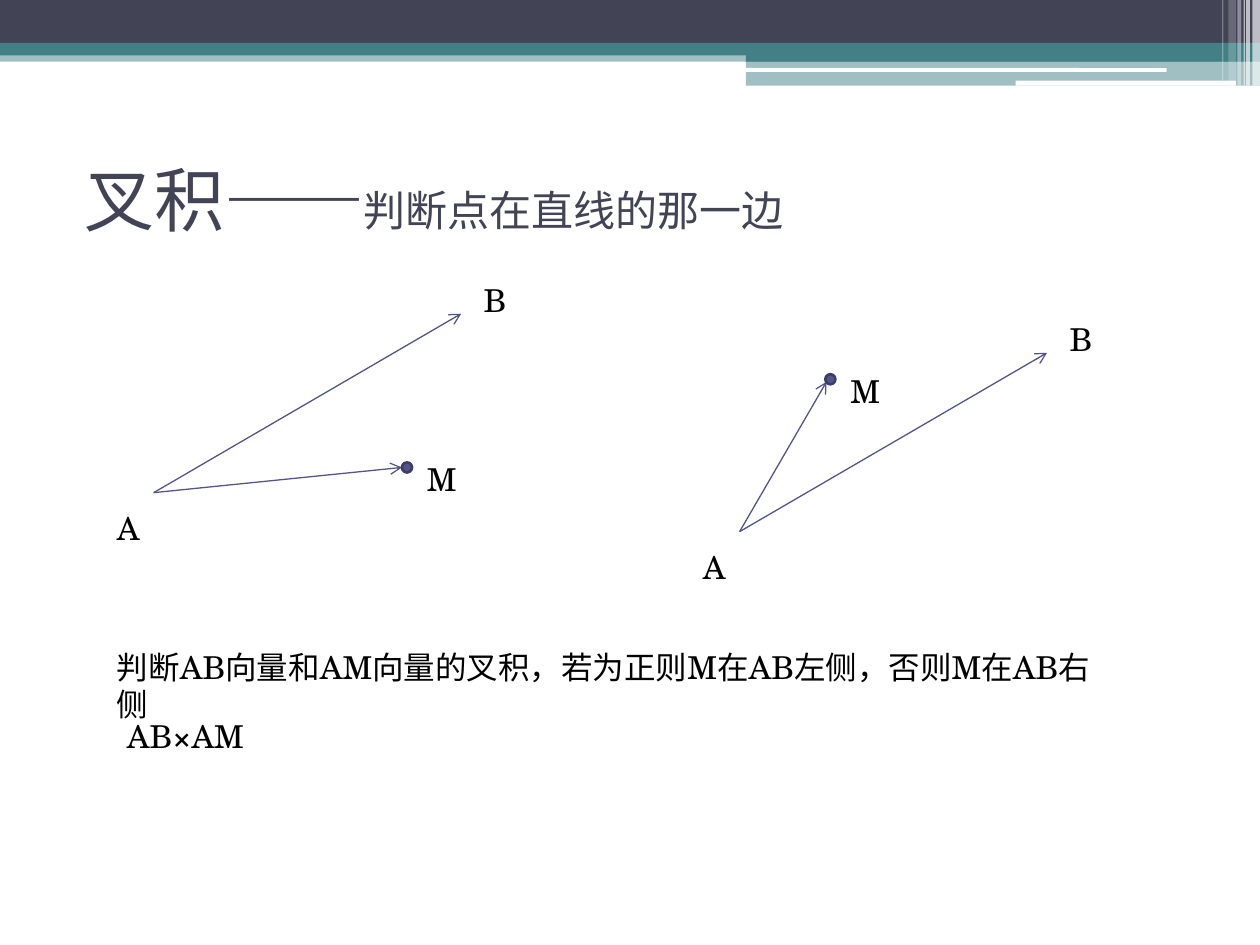
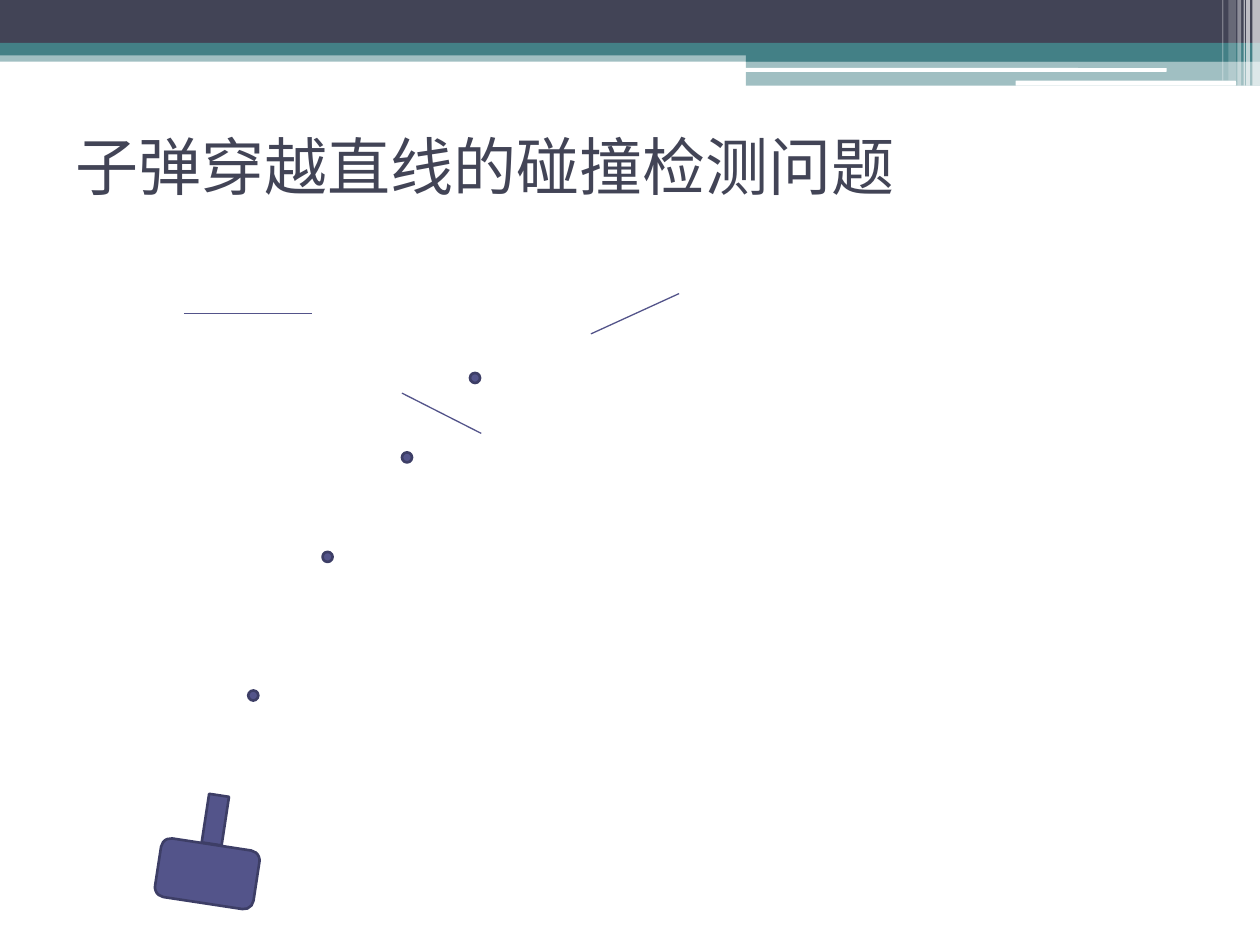
from dataclasses import dataclass
from typing import NamedTuple

from lxml.etree import SubElement
from pptx import Presentation
from pptx.dml.color import RGBColor
from pptx.enum.shapes import MSO_CONNECTOR, MSO_SHAPE
from pptx.enum.text import MSO_ANCHOR
from pptx.oxml.ns import qn
from pptx.shapes.autoshape import Shape
from pptx.slide import Slide
from pptx.util import Inches, Pt


@dataclass(frozen=True)
class Theme:
    navy: str = "424456"
    teal: str = "438086"
    white: str = "FFFFFF"
    black: str = "000000"
    ink: str = "53548A"
    edge: str = "3D3E66"
    head: str = "Karla"
    body: str = "TeX Gyre Schola"
    large: int = 40
    title: int = 36
    small: int = 24
    text: int = 18
    thin: float = 0.75
    thick: float = 1.5


class Point(NamedTuple):
    x: float
    y: float

    def shift(self, dx: float, dy: float) -> "Point":
        return Point(self.x + dx, self.y + dy)


class Box(NamedTuple):
    x: float
    y: float
    w: float
    h: float


class Band(NamedTuple):
    box: Box
    color: str
    alpha: int = 100
    kind: MSO_SHAPE = MSO_SHAPE.RECTANGLE


class Span(NamedTuple):
    text: str
    size: int


class Cross(NamedTuple):
    start: Point
    tip: Point
    dot: Point


THEME = Theme()
ROUND = MSO_SHAPE.ROUNDED_RECTANGLE
DOT = 0.08
ROW = 0.4
TILT = 8.7

BANDS = [
    Band(Box(0, 0.4, 10, 0.09), THEME.teal, 50),
    Band(Box(0, 0, 10, 0.34), THEME.navy),
    Band(Box(0, 0.34, 10, 0.1), THEME.teal),
    Band(Box(5.92, 0.39, 4.08, 0.1), THEME.teal),
    Band(Box(5.92, 0.48, 4.08, 0.2), THEME.teal, 50),
    Band(Box(5.91, 0.54, 3.35, 0.03), THEME.white, kind=ROUND),
    Band(Box(8.06, 0.64, 1.75, 0.04), THEME.white, kind=ROUND),
    Band(Box(9.94, 0, 0.06, 0.68), THEME.white, 65),
    Band(Box(9.89, 0, 0.03, 0.68), THEME.white, 65),
    Band(Box(9.87, 0, 0.01, 0.68), THEME.white, 60),
    Band(Box(9.82, 0, 0.03, 0.68), THEME.white, 40),
    Band(Box(9.75, 0, 0.06, 0.64), THEME.white, 20),
    Band(Box(9.7, 0, 0.01, 0.64), THEME.white, 30),
]

CROSSES = [
    Cross(Point(1.22, 3.91), Point(3.19, 3.71), Point(3.23, 3.71)),
    Cross(Point(5.87, 4.22), Point(6.56, 3.03), Point(6.59, 3.01)),
]

WALLS = [
    (Point(3.19, 3.12), Point(3.82, 3.44)),
    (Point(4.69, 2.65), Point(5.39, 2.33)),
    (Point(1.46, 2.49), Point(2.48, 2.49)),
]

SHOTS = [Point(3.23, 3.63), Point(3.77, 3), Point(2.6, 4.42), Point(2.01, 5.52)]


def place(box: Box) -> list:
    return [Inches(side) for side in box]


def rgb(color: str) -> RGBColor:
    return RGBColor.from_string(color)


def add_block(slide: Slide, kind: MSO_SHAPE, box: Box, color: str) -> Shape:
    block = slide.shapes.add_shape(kind, *place(box))
    block.shadow.inherit = False
    block.fill.solid()
    block.fill.fore_color.rgb = rgb(color)
    block.line.fill.background()
    return block


def add_band(slide: Slide, band: Band) -> None:
    block = add_block(slide, band.kind, band.box, band.color)
    if band.alpha < 100:
        tint = block.fill._xPr.find(".//" + qn("a:srgbClr"))
        SubElement(tint, qn("a:alpha")).set("val", str(band.alpha * 1000))


def add_solid(slide: Slide, kind: MSO_SHAPE, box: Box, turn: float = 0) -> None:
    block = add_block(slide, kind, box, THEME.ink)
    block.line.color.rgb = rgb(THEME.edge)
    block.line.width = Pt(THEME.thick)
    block.rotation = turn


def add_dot(slide: Slide, mid: Point) -> None:
    box = Box(*mid.shift(-DOT / 2, -DOT / 2), DOT, DOT)
    add_solid(slide, MSO_SHAPE.OVAL, box)


def add_line(slide: Slide, start: Point, end: Point, arrow: bool = False) -> None:
    ends = [Inches(side) for side in (*start, *end)]
    line = slide.shapes.add_connector(MSO_CONNECTOR.STRAIGHT, *ends)
    line.line.color.rgb = rgb(THEME.ink)
    line.line.width = Pt(THEME.thin)
    if arrow:
        SubElement(line.line._ln, qn("a:tailEnd")).set("type", "arrow")
    SubElement(line._element.spPr, qn("a:effectLst"))


def add_text(slide: Slide, box: Box, spans: list[Span], font: str, color: str) -> Shape:
    text = slide.shapes.add_textbox(*place(box))
    text.text_frame.word_wrap = True
    for span in spans:
        run = text.text_frame.paragraphs[0].add_run()
        run.text = span.text
        run.font.size = Pt(span.size)
        run.font.name = font
        run.font.color.rgb = rgb(color)
    return text


def add_note(slide: Slide, at: Point, width: float, words: str) -> None:
    box = Box(*at, width, ROW)
    add_text(slide, box, [Span(words, THEME.text)], THEME.body, THEME.black)


def add_page(deck: Presentation, box: Box, spans: list[Span]) -> Slide:
    slide = deck.slides.add_slide(deck.slide_layouts[6])
    for band in BANDS:
        add_band(slide, band)
    title = add_text(slide, box, spans, THEME.head, THEME.navy)
    title.text_frame.vertical_anchor = MSO_ANCHOR.MIDDLE
    return slide


def add_cross(slide: Slide, cross: Cross) -> None:
    end = cross.start.shift(2.44, -1.42)
    add_line(slide, cross.start, end, True)
    add_line(slide, cross.start, cross.tip, True)
    add_dot(slide, cross.dot)
    add_note(slide, end.shift(0.08, -0.31), 0.37, "B")
    add_note(slide, cross.start.shift(-0.39, 0.08), 0.37, "A")
    add_note(slide, cross.dot.shift(0.06, -0.11), 0.44, "M")


def add_side(deck: Presentation) -> None:
    spans = [Span("叉积——", THEME.large), Span("判断点在直线的那一边", THEME.small)]
    slide = add_page(deck, Box(0.57, 0.99, 9, 1.17), spans)
    for cross in CROSSES:
        add_cross(slide, cross)
    rule = "判断AB向量和AM向量的叉积，若为正则M在AB左侧，否则M在AB右侧"
    add_note(slide, Point(0.83, 5.09), 8.14, rule)
    add_note(slide, Point(0.91, 5.64), 1.2, "AB×AM")


def add_hit(deck: Presentation) -> None:
    spans = [Span("子弹穿越直线的碰撞检测问题", THEME.title)]
    slide = add_page(deck, Box(0.5, 0.97, 9, 0.69), spans)
    for start, end in WALLS:
        add_line(slide, start, end)
    add_solid(slide, ROUND, Box(1.25, 6.7, 0.79, 0.47), TILT)
    add_solid(slide, MSO_SHAPE.RECTANGLE, Box(1.63, 6.31, 0.16, 0.39), TILT)
    for shot in SHOTS:
        add_dot(slide, shot)


def main() -> None:
    deck = Presentation()
    deck.slide_width = Inches(10)
    deck.slide_height = Inches(7.5)
    add_side(deck)
    add_hit(deck)
    deck.save("out.pptx")


if __name__ == "__main__":
    main()
